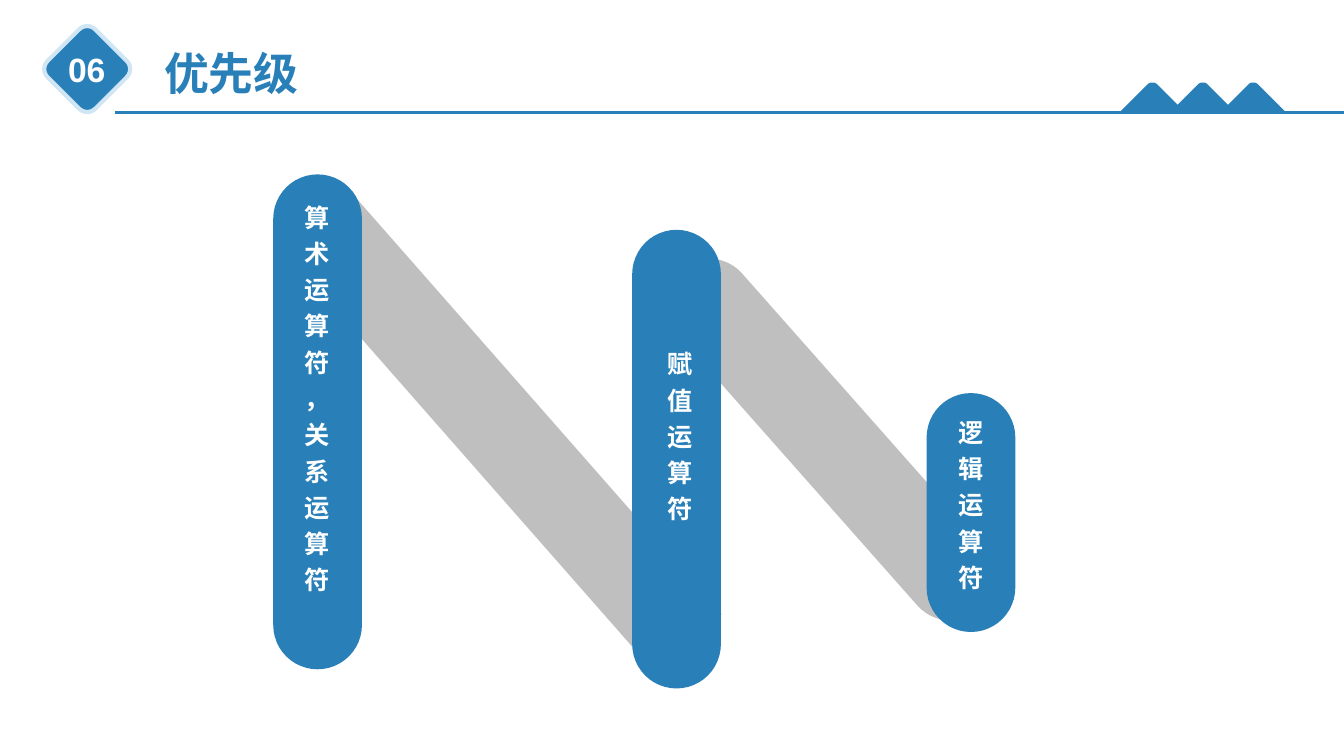
import pptx
import pptx.util
import pptx.dml.color
import pptx.enum.shapes
import pptx.enum.text
import pptx.oxml.ns
from lxml import etree

Inches = pptx.util.Inches
Pt = pptx.util.Pt
RGBColor = pptx.dml.color.RGBColor
ALIGN = pptx.enum.text.PP_ALIGN
SHAPE = pptx.enum.shapes.MSO_SHAPE

BLUE = RGBColor(0x29, 0x80, 0xB9)
PALE = RGBColor(0xD1, 0xE6, 0xF5)
GRAY = RGBColor(0xBF, 0xBF, 0xBF)
WHITE = RGBColor(0xFF, 0xFF, 0xFF)


def write(frame, text, size=18, color=WHITE, align=ALIGN.CENTER, spacing=None, font="Arial"):
    frame.text = text
    for paragraph in frame.paragraphs:
        paragraph.alignment = align
        paragraph.line_spacing = spacing
        for run in paragraph.runs:
            run.font.name = font
            run.font.size = Pt(size)
            run.font.bold = True
            run.font.color.rgb = color


class PrioritySlide:
    def __init__(self, deck):
        self.shapes = deck.slides.add_slide(deck.slide_layouts[6]).shapes
        self.accent = BLUE

    def paint(self, shape, fill):
        shape.shadow.inherit = False
        shape.fill.solid()
        shape.fill.fore_color.rgb = fill
        shape.line.fill.background()

    def rounded(self, box, fill, rotation=0, corner=0.5):
        shape = self.shapes.add_shape(SHAPE.ROUNDED_RECTANGLE, *map(Inches, box))
        self.paint(shape, fill)
        shape.rotation = rotation
        shape.adjustments[0] = corner
        return shape

    def label(self, box, text, wrap=False, **style):
        shape = self.shapes.add_textbox(*map(Inches, box))
        frame = shape.text_frame
        frame.word_wrap = wrap
        frame.auto_size = pptx.enum.text.MSO_AUTO_SIZE.SHAPE_TO_FIT_TEXT
        write(frame, text, **style)
        return shape

    def stacked_label(self, box, text):
        shape = self.label(box, text, wrap=True, spacing=1.2)
        shape.rotation = 90
        body = shape.text_frame._txBody.find(pptx.oxml.ns.qn("a:bodyPr"))
        body.set("vert", "vert270")

    def rule(self, start, end, width):
        line = self.shapes.add_connector(
            pptx.enum.shapes.MSO_CONNECTOR.STRAIGHT, *map(Inches, start + end))
        line.line.color.rgb = self.accent
        line.line.width = Pt(width)
        etree.SubElement(line._element.spPr, pptx.oxml.ns.qn("a:effectLst"))

    def hill(self, center):
        slope = [(0.02, 0.82), (0.04, 0.83), (0.06, 0.85), (0.33, 1.12)]
        outline = [(center - dx, y) for dx, y in reversed(slope)]
        outline += [(center + dx, y) for dx, y in slope]
        points = [(Inches(x), Inches(y)) for x, y in outline]
        builder = self.shapes.build_freeform(*points[0], scale=1.0)
        builder.add_line_segments(points[1:], close=True)
        self.paint(builder.convert_to_shape(), self.accent)


deck = pptx.Presentation()
deck.slide_width = Inches(13.33)
deck.slide_height = Inches(7.5)
slide = PrioritySlide(deck)

PILLAR_WIDTH = 0.88
pillars = [
    (4.54, 1.48, 5.6, GRAY, 318.7, 0),
    (2.71, 1.73, 4.91, BLUE, 0, 0.5),
    (7.79, 2.11, 4.5, GRAY, 318.5, 0.5),
    (9.19, 3.9, 2.37, BLUE, 0, 0.5),
    (6.27, 2.28, 4.55, BLUE, 0, 0.5),
]
for left, top, height, fill, rotation, corner in pillars:
    slide.rounded((left, top, PILLAR_WIDTH, height), fill, rotation, corner)

operators = [
    ((1.06, 3.75, 4.17, 0.46), "算术运算符\n，关系运算符"),
    ((5.73, 4.14, 2.02, 0.44), "赋值运算符"),
    ((8.62, 4.82, 2.02, 0.44), "逻辑运算符"),
]
for box, text in operators:
    slide.stacked_label(box, text)

badge = slide.rounded((0.53, 0.35, 0.67, 0.67), BLUE, 45, 0.17)
badge.line.color.rgb = PALE
badge.line.width = Pt(3)
slide.rule((1.14, 1.12), (13.33, 1.12), 2.25)
slide.label((1.53, 0.4, 1.55, 0.64), "优先级", size=32, color=BLUE, align=ALIGN.LEFT)
slide.label((0.57, 0.44, 0.58, 0.5), "06", size=24)

for index in range(3):
    slide.hill(11.43 + index * 0.5)

deck.save("out.pptx")
